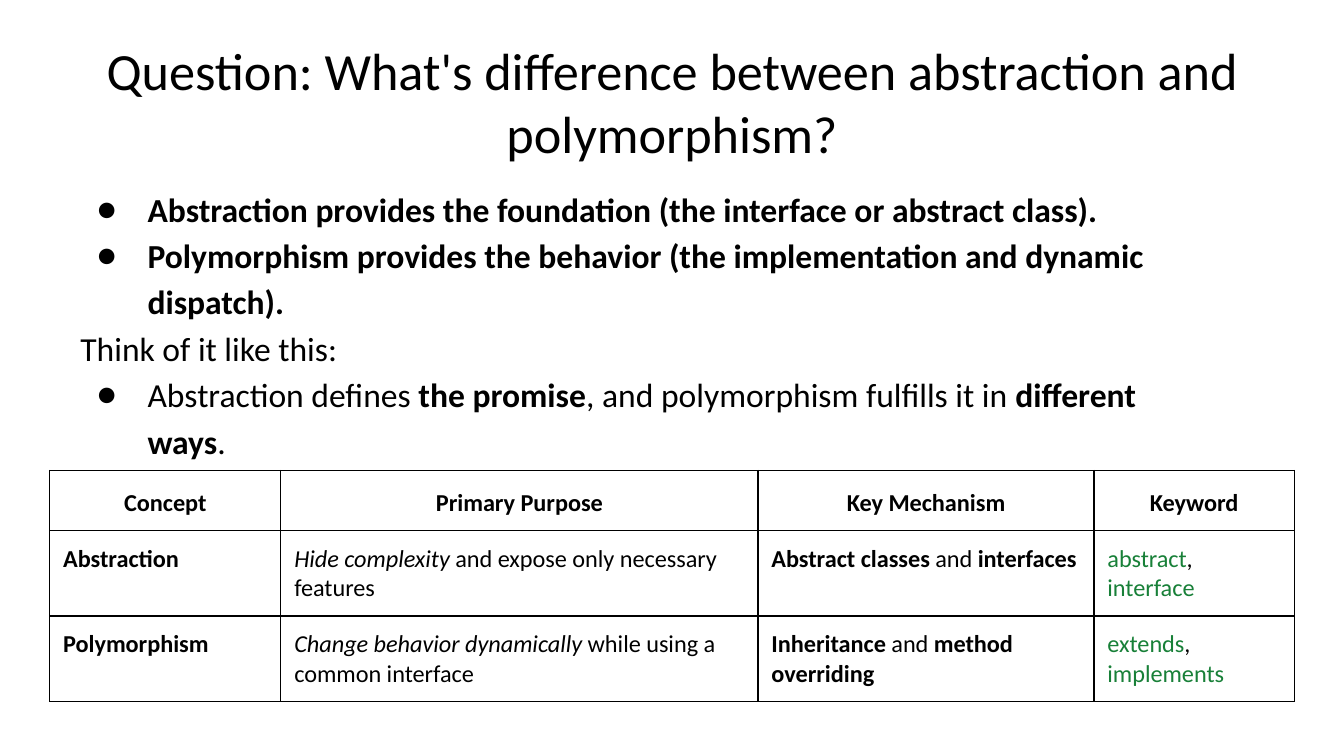
import pptx
import pptx.dml.color
import pptx.enum.text
import pptx.oxml
import pptx.oxml.ns
import pptx.util
from dataclasses import dataclass

Inches = pptx.util.Inches
Pt = pptx.util.Pt
RGBColor = pptx.dml.color.RGBColor
CENTER = pptx.enum.text.PP_ALIGN.CENTER
LEFT = pptx.enum.text.PP_ALIGN.LEFT

BLACK = RGBColor(0x00, 0x00, 0x00)
GREEN = RGBColor(0x18, 0x80, 0x38)
FONT = "Calibri"
NAMESPACE = pptx.oxml.ns.nsdecls("a")


@dataclass
class Span:
    text: str
    bold: bool = False
    italic: bool = False
    color: RGBColor = BLACK


@dataclass
class Line:
    spans: list[Span]
    bullet: bool = False


def strong(text: str) -> Span:
    return Span(text, bold=True)


def code(text: str) -> Span:
    return Span(text, color=GREEN)


def write_spans(para, spans: list[Span], size: int) -> None:
    for span in spans:
        run = para.add_run()
        run.text = span.text
        styles = {"name": FONT, "size": Pt(size), "bold": span.bold, "italic": span.italic}
        for name, value in styles.items():
            setattr(run.font, name, value)
        run.font.color.rgb = span.color


def add_bullet(para) -> None:
    properties = para._p.get_or_add_pPr()
    properties.set("marL", str(Inches(0.5)))
    properties.set("indent", str(Inches(-0.38)))
    for xml in (
        f'<a:buClr {NAMESPACE}><a:srgbClr val="{BLACK}"/></a:buClr>',
        f'<a:buFont {NAMESPACE} typeface="{FONT}"/>',
        f'<a:buChar {NAMESPACE} char="●"/>',
    ):
        properties.append(pptx.oxml.parse_xml(xml))


def add_borders(cell) -> None:
    properties = cell._tc.get_or_add_tcPr()
    for side in "LRTB":
        properties.append(pptx.oxml.parse_xml(
            f'<a:ln{side} {NAMESPACE} w="{Pt(0.75)}"><a:solidFill>'
            f'<a:srgbClr val="{BLACK}"/></a:solidFill></a:ln{side}>'))


def fill_cell(cell, spans: list[Span], is_header: bool) -> None:
    add_borders(cell)
    cell.fill.background()
    for side in ("left", "right", "top", "bottom"):
        setattr(cell, f"margin_{side}", Inches(0.1))
    para = cell.text_frame.paragraphs[0]
    para.alignment = CENTER if is_header else LEFT
    para.line_spacing = 1.15 if is_header else 1.0
    write_spans(para, spans, 13)


def place(shape, left: float, top: float, width: float, height: float) -> None:
    bounds = {"left": left, "top": top, "width": width, "height": height}
    for name, value in bounds.items():
        setattr(shape, name, Inches(value))


LINES = [
    Line([strong("Abstraction provides the foundation (the interface or abstract class).")], True),
    Line([strong("Polymorphism provides the behavior (the implementation and dynamic dispatch).")], True),
    Line([Span("Think of it like this:")]),
    Line([Span("Abstraction defines "), strong("the promise"),
          Span(", and polymorphism fulfills it in "), strong("different ways"), Span(".")], True),
]
COLUMN_WIDTHS = [1.72, 3.55, 2.5, 1.49]
ROW_HEIGHTS = [0.45, 0.63, 0.63]
ROWS = [
    [[strong(name)] for name in ("Concept", "Primary Purpose", "Key Mechanism", "Keyword")],
    [[strong("Abstraction")],
     [Span("Hide complexity", italic=True), Span(" and expose only necessary features")],
     [strong("Abstract classes"), Span(" and "), strong("interfaces")],
     [code("abstract"), Span(", "), code("interface")]],
    [[strong("Polymorphism")],
     [Span("Change behavior dynamically", italic=True), Span(" while using a common interface")],
     [strong("Inheritance"), Span(" and "), strong("method overriding")],
     [code("extends"), Span(", "), code("implements")]],
]

# Widescreen page, 16:9
deck = pptx.Presentation()
deck.slide_width = Inches(10)
deck.slide_height = Inches(10 * 9 / 16)
page = deck.slides.add_slide(deck.slide_layouts[5])

# Title
title = page.shapes.title
place(title, 0.5, 0.23, 9, 1.04)
title.text_frame.auto_size = pptx.enum.text.MSO_AUTO_SIZE.NONE
title.text_frame.vertical_anchor = pptx.enum.text.MSO_ANCHOR.MIDDLE
heading = title.text_frame.paragraphs[0]
heading.alignment = CENTER
write_spans(heading, [Span("Question: What's difference between abstraction and polymorphism?")], 28)

# Explanation
box = page.shapes.add_textbox(Inches(0.5), Inches(1.31), Inches(9), Inches(2.15))
box.text_frame.word_wrap = True
box.text_frame.margin_right = Inches(0.5)
for index, line in enumerate(LINES):
    para = box.text_frame.add_paragraph() if index else box.text_frame.paragraphs[0]
    para.line_spacing = 1.15
    if line.bullet:
        add_bullet(para)
    write_spans(para, line.spans, 18)

# Comparison table
table = page.shapes.add_table(
    len(ROWS), len(COLUMN_WIDTHS), Inches(0.37), Inches(3.5),
    Inches(sum(COLUMN_WIDTHS)), Inches(sum(ROW_HEIGHTS))).table
table.first_row = False
table.horz_banding = False
for column, width in zip(table.columns, COLUMN_WIDTHS):
    column.width = Inches(width)
for row_index, (row, height) in enumerate(zip(table.rows, ROW_HEIGHTS)):
    row.height = Inches(height)
    for cell, spans in zip(row.cells, ROWS[row_index]):
        fill_cell(cell, spans, is_header=row_index == 0)

deck.save("out.pptx")
